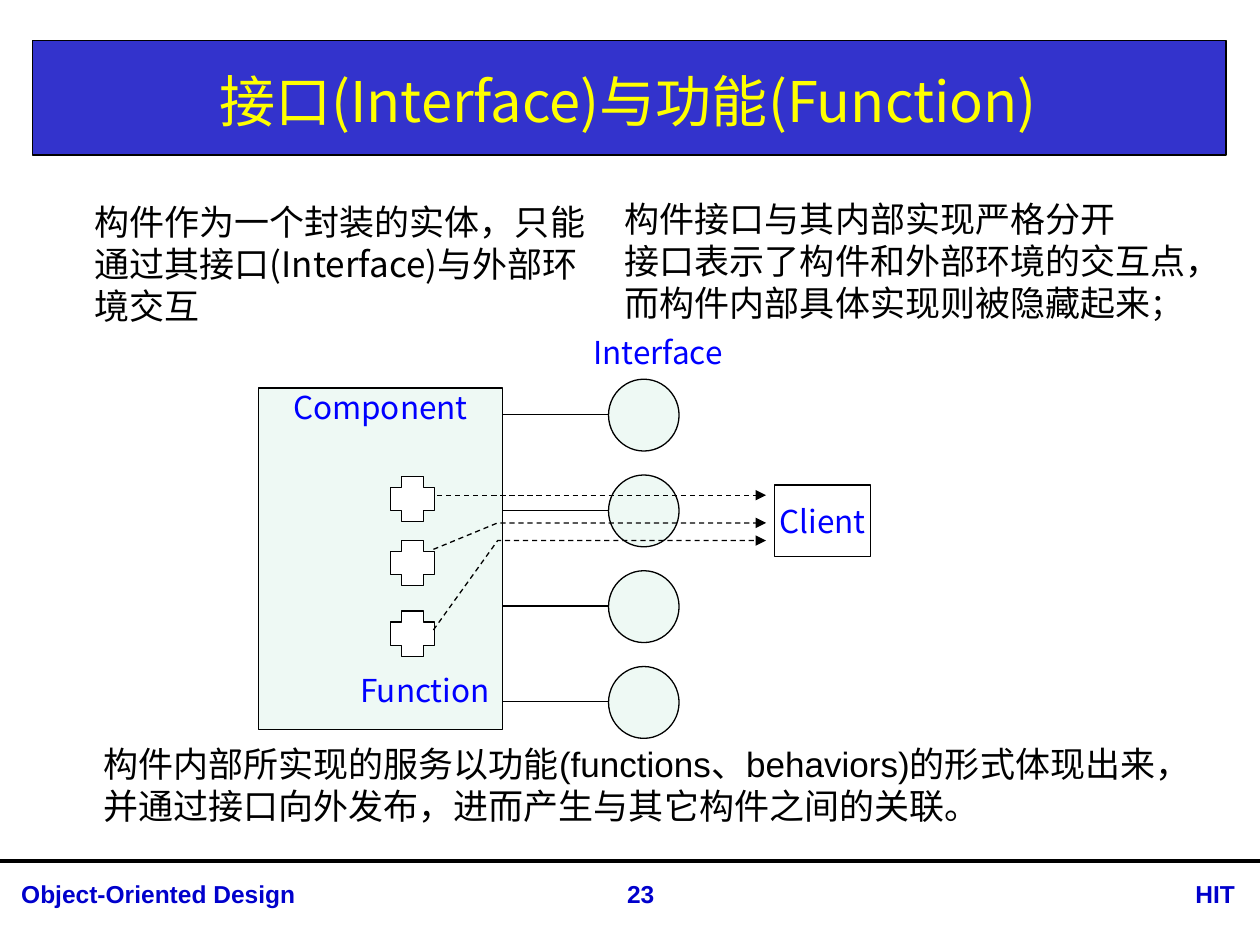
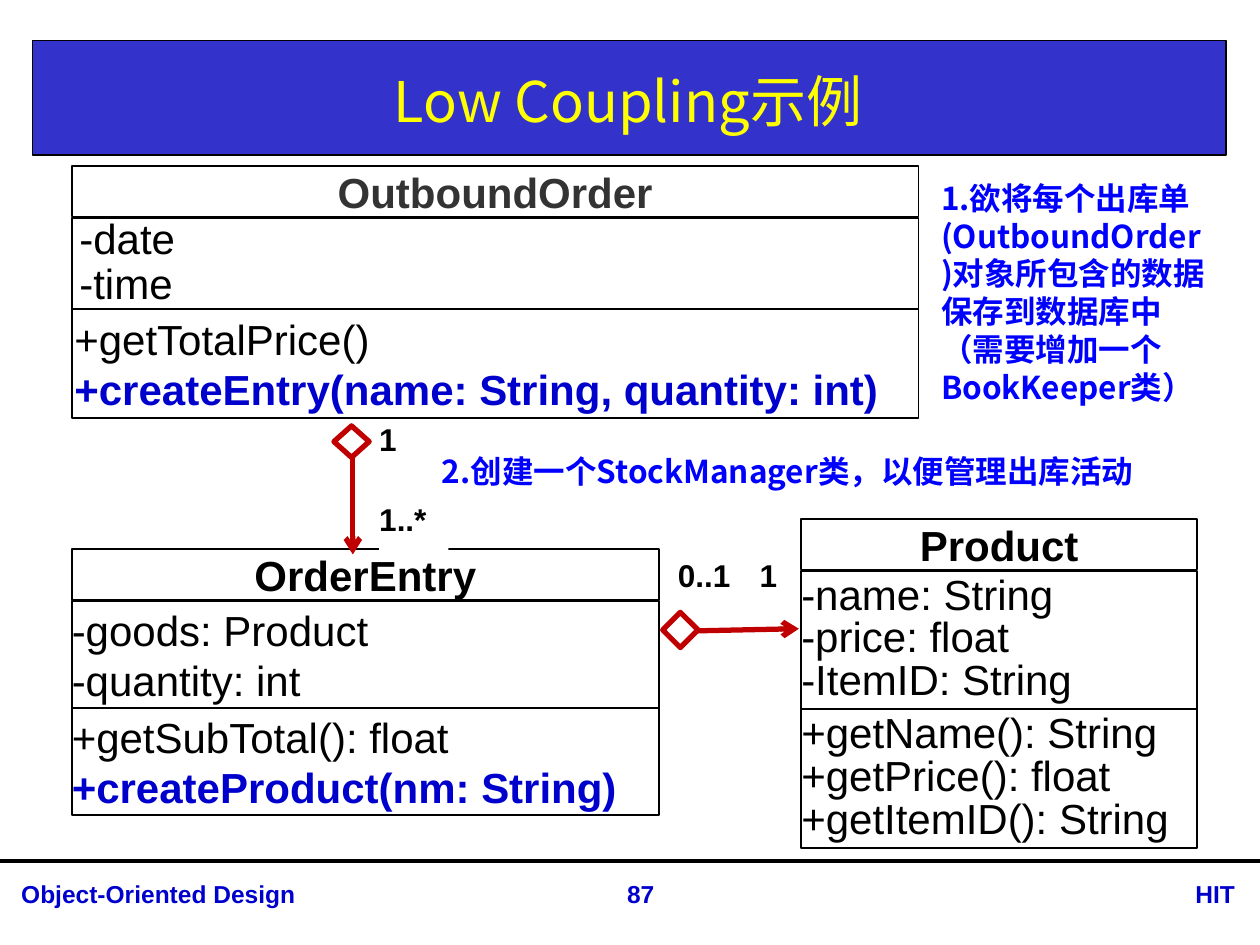
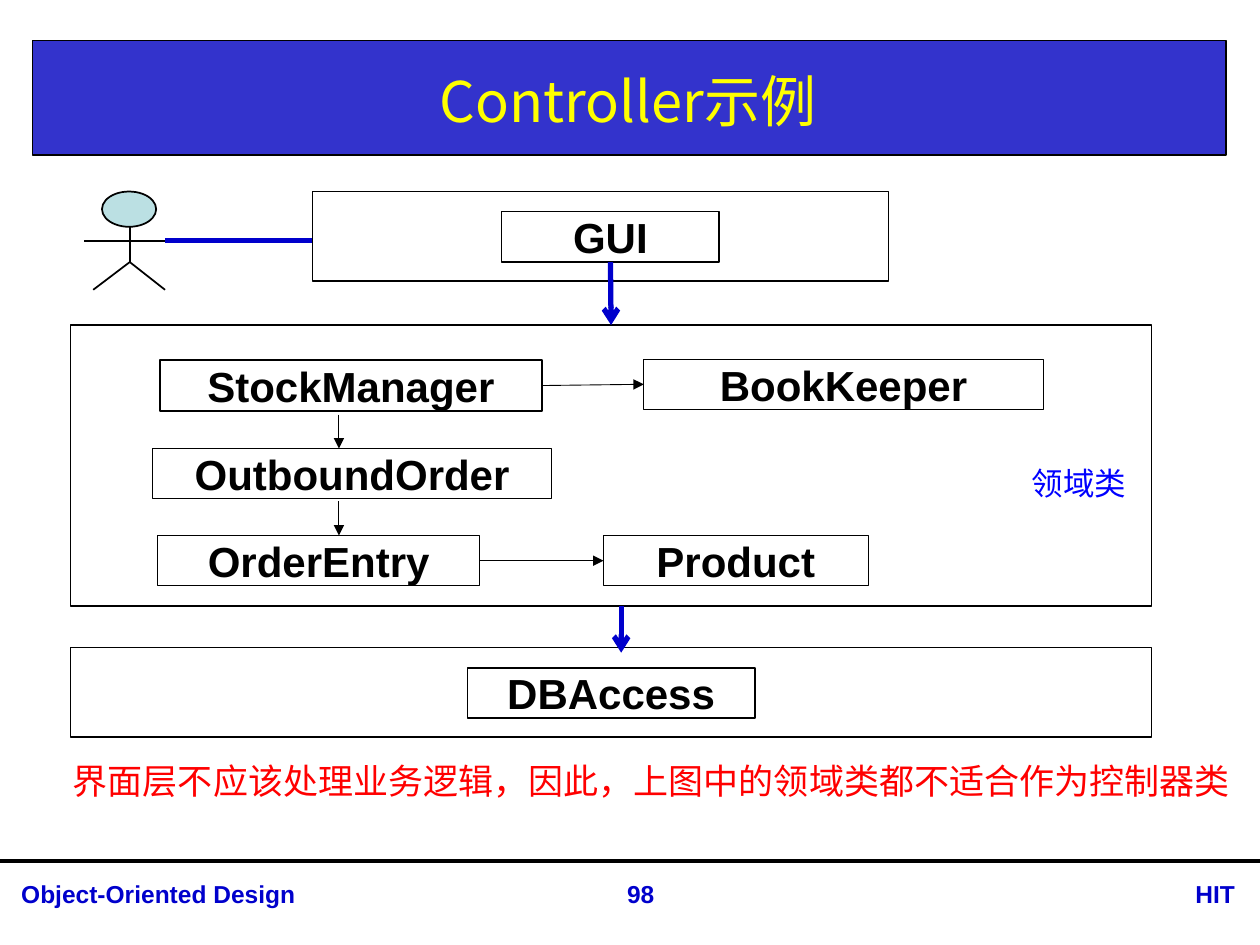
from dataclasses import dataclass, replace

from lxml import etree
from pptx import Presentation
from pptx.dml.color import RGBColor
from pptx.enum import dml, shapes, text
from pptx.oxml import ns
from pptx.util import Inches, Pt

SHAPE = shapes.MSO_SHAPE
LEFT, CENTER, RIGHT = text.PP_ALIGN.LEFT, text.PP_ALIGN.CENTER, text.PP_ALIGN.RIGHT
TOP, MIDDLE = text.MSO_ANCHOR.TOP, text.MSO_ANCHOR.MIDDLE
DEFAULT_INSETS = (0.1, 0.05)
NO_INSETS = (0, 0)


@dataclass(frozen=True)
class Style:
    size: int
    color: str = "000000"
    bold: bool = False
    font: str = "Arial"


@dataclass(frozen=True)
class Theme:
    cjk: str = "Noto Sans CJK SC"
    black: str = "000000"
    white: str = "FFFFFF"
    band: str = "3333CC"
    mint: str = "EEF9F4"
    head: str = "BBE0E3"
    navy: str = "0000CC"
    crimson: str = "C00000"
    title: Style = Style(32, "FFFF00", font=cjk)
    footer: Style = Style(14, navy, True)
    body: Style = Style(20, font=cjk)
    body_latin: Style = Style(20)
    label: Style = Style(18, "0000FF", font=cjk)
    note: Style = Style(18, "0000FF", True, cjk)
    warning: Style = Style(20, "FF0000", font=cjk)
    member: Style = Style(24)
    new_member: Style = Style(24, navy, True)
    class_name: Style = Style(24, bold=True)
    multiplicity: Style = Style(18, bold=True)


T = Theme()


def rgb(value):
    return RGBColor.from_string(value)


def write(shape, paragraphs, style, align=LEFT, anchor=TOP, insets=DEFAULT_INSETS,
          wrap=True, spacing=None):
    """Fill a shape; a paragraph is a string or a list of (string, style) runs."""
    tf = shape.text_frame
    tf.auto_size = text.MSO_AUTO_SIZE.NONE
    tf.word_wrap = wrap
    tf.vertical_anchor = anchor
    tf.margin_left = tf.margin_right = Inches(insets[0])
    tf.margin_top = tf.margin_bottom = Inches(insets[1])
    for i, runs in enumerate(paragraphs):
        p = tf.add_paragraph() if i else tf.paragraphs[0]
        p.alignment = align
        if spacing:
            p.line_spacing = spacing
        for content, look in [(runs, style)] if isinstance(runs, str) else runs:
            r = p.add_run()
            r.text = content
            r.font.size = Pt(look.size)
            r.font.bold = look.bold
            r.font.color.rgb = rgb(look.color)
            r.font.name = look.font
            east_asian = etree.SubElement(r._r.get_or_add_rPr(), ns.qn("a:ea"))
            east_asian.set("typeface", T.cjk)


def add_text(slide, x, y, w, h, paragraphs, style, **options):
    box = slide.shapes.add_textbox(Inches(x), Inches(y), Inches(w), Inches(h))
    write(box, paragraphs, style, **options)
    return box


def add_box(slide, x, y, w, h, fill=None, line=T.black, width=0.75, kind=SHAPE.RECTANGLE):
    sp = slide.shapes.add_shape(kind, Inches(x), Inches(y), Inches(w), Inches(h))
    sp.shadow.inherit = False
    if fill:
        sp.fill.solid()
        sp.fill.fore_color.rgb = rgb(fill)
    else:
        sp.fill.background()
    if line:
        sp.line.color.rgb = rgb(line)
        sp.line.width = Pt(width)
    else:
        sp.line.fill.background()
    return sp


def style_line(shape, color, width, head=None, dashed=False):
    shape.line.color.rgb = rgb(color)
    shape.line.width = Pt(width)
    if dashed:
        shape.line.dash_style = dml.MSO_LINE.DASH
    if head:
        tail = etree.SubElement(shape.line._get_or_add_ln(), ns.qn("a:tailEnd"))
        tail.set("type", head)


def add_line(slide, start, end, color=T.black, width=0.75, head=None, dashed=False):
    ends = [Inches(v) for v in (*start, *end)]
    line = slide.shapes.add_connector(shapes.MSO_CONNECTOR.STRAIGHT, *ends)
    style_line(line, color, width, head, dashed)
    etree.SubElement(line._element.spPr, ns.qn("a:effectLst"))
    return line


def join(slide, source, source_side, target, target_side, **look):
    line = add_line(slide, (0, 0), (1, 1), **look)
    line.begin_connect(source, source_side)
    line.end_connect(target, target_side)


def add_bent_arrow(slide, points):
    corners = [(Inches(x), Inches(y)) for x, y in points]
    builder = slide.shapes.build_freeform(*corners[0])
    builder.add_line_segments(corners[1:], close=False)
    sp = builder.convert_to_shape()
    sp.shadow.inherit = False
    sp.fill.background()
    style_line(sp, T.black, 0.75, "triangle", dashed=True)


def new_slide(prs, title, number):
    """Add a slide with the title band, the rule and the footer."""
    slide = prs.slides.add_slide(prs.slide_layouts[5])
    add_box(slide, 0.26, 0.32, 9.47, 0.91, T.band)
    add_line(slide, (0, 6.83), (10, 6.83), width=2.25)
    for x, w, content, align in ((0.07, 4.63, "Object-Oriented Design", LEFT),
                                 (8.87, 1.03, "HIT", RIGHT),
                                 (4.57, 1.03, str(number), CENTER)):
        add_text(slide, x, 6.93, w, 0.34, [content], T.footer, align=align)
    heading = slide.shapes.title
    heading.left, heading.top = Inches(0.26), Inches(0.36)
    heading.width, heading.height = Inches(9.45), Inches(0.87)
    write(heading, [title], T.title, align=CENTER, anchor=MIDDLE)
    # The title has to lie in front of its band.
    heading._element.getparent().append(heading._element)
    return slide


def component_diagram(slide, x, y):
    """Draw the component with its top left corner at x, y, and its client."""
    component = add_box(slide, x, y, 1.94, 2.71, T.mint)
    write(component, ["Component"], T.label, align=CENTER, insets=NO_INSETS, wrap=False)
    for i in range(4):
        top = y - 0.07 + 0.76 * i
        add_box(slide, x + 2.78, top, 0.56, 0.57, T.mint, kind=SHAPE.OVAL)
        add_line(slide, (x + 1.94, top + 0.28), (x + 2.78, top + 0.28))
    add_text(slide, x + 2.56, y - 0.49, 1.32, 0.4, ["Interface"], T.label, wrap=False)
    add_text(slide, x + 0.71, y + 2.2, 1.25, 0.4, ["Function"], T.label, wrap=False)
    client = add_box(slide, x + 4.1, y + 0.77, 0.76, 0.57, T.white)
    write(client, ["Client"], T.label, align=CENTER, anchor=MIDDLE, wrap=False)
    for dy in (0.7, 1.21, 1.77):
        add_box(slide, x + 1.05, y + dy, 0.35, 0.36, T.white, kind=SHAPE.CROSS)
    add_line(slide, (x + 1.42, y + 0.85), (x + 4.03, y + 0.85), head="triangle", dashed=True)
    for start, level in ((1.28, 1.07), (1.92, 1.21)):
        add_bent_arrow(slide, [(x + 1.39, y + start), (x + 1.9, y + level),
                               (x + 4.03, y + level)])


def interface_slide(prs):
    slide = new_slide(prs, "接口(Interface)与功能(Function)", 23)
    component_diagram(slide, 2.05, 3.08)
    add_text(slide, 0.65, 1.54, 4.11, 1.11,
             ["构件作为一个封装的实体，只能通过其接口(Interface)与外部环境交互"], T.body)
    add_text(slide, 0.72, 5.84, 8.81, 0.77,
             ["构件内部所实现的服务以功能(functions、behaviors)的形式体现出来，"
              "并通过接口向外发布，进而产生与其它构件之间的关联。"], T.body_latin)
    add_text(slide, 4.86, 1.52, 5, 1.11,
             ["构件接口与其内部实现严格分开",
              [("接口表示了构件和外部环境的交互点，而构件内部具体实现则被隐藏起来", T.body),
               ("；", replace(T.body, size=18))]], T.body)


def name_box(slide, x, y, w, name, style=T.class_name, width=1):
    sp = add_box(slide, x, y, w, 0.4, T.white, width=width)
    write(sp, [name], style, align=CENTER, anchor=MIDDLE, insets=NO_INSETS)
    return sp


def class_box(slide, x, y, w, name, compartments, name_style=T.class_name):
    """Stack compartments (height, insets, line spacing, members) under a class name."""
    name_box(slide, x, y, w, name, name_style)
    y += 0.41
    for height, insets, spacing, members in compartments:
        sp = add_box(slide, x, y, w, height, T.white, width=1)
        write(sp, members, T.member, anchor=MIDDLE, insets=insets, spacing=spacing)
        y += height


def aggregation(slide, start, end, x, y, w, h):
    add_line(slide, start, end, T.crimson, 3, "arrow")
    add_box(slide, x, y, w, h, T.white, T.crimson, 3, SHAPE.DIAMOND)


def coupling_slide(prs):
    slide = new_slide(prs, "Low Coupling示例", 87)
    class_box(slide, 0.57, 4.36, 4.66, "OrderEntry", [
        (0.85, (0, 0.02), None, ["-goods: Product", "-quantity: int"]),
        (0.85, (0, 0.02), None, ["+getSubTotal(): float",
                                 [("+createProduct(nm: String)", T.new_member)]])])
    class_box(slide, 0.57, 1.32, 6.72, "OutboundOrder", [
        (0.72, (0.06, 0), 0.9, ["-date", "-time"]),
        (0.87, (0.02, 0.03), None,
         ["+getTotalPrice()",
          [("+createEntry(name: String, quantity: int)", T.new_member)]])],
        replace(T.class_name, color="333333"))
    class_box(slide, 6.36, 4.12, 3.14, "Product", [
        (1.1, (0, 0.03), 0.85, ["-name: String", "-price: float", "-ItemID: String"]),
        (1.1, (0, 0.03), 0.85, ["+getName(): String", "+getPrice(): float",
                                "+getItemID(): String"])])
    for x, y, w, h, count in ((3.01, 3.97, 0.55, 0.4, "1..*"), (3.01, 3.33, 0.31, 0.3, "1"),
                              (6.03, 4.41, 0.17, 0.23, "1"), (5.38, 4.41, 0.47, 0.4, "0..1")):
        sp = add_box(slide, x, y, w, h, T.white, line=None)
        write(sp, [count], T.multiplicity, insets=NO_INSETS)
    aggregation(slide, (2.8, 3.6), (2.8, 4.4), 2.65, 3.38, 0.28, 0.25)
    aggregation(slide, (5.38, 5.01), (6.34, 4.99), 5.26, 4.86, 0.28, 0.28)
    add_text(slide, 7.37, 1.37, 2.35, 1.92,
             ["1.欲将每个出库单(OutboundOrder)对象所包含的数据保存到数据库中"
              "（需要增加一个BookKeeper类）"], T.note)
    add_text(slide, 3.41, 3.54, 6.2, 0.4,
             ["2.创建一个StockManager类，以便管理出库活动"], T.note)


def actor(slide, x, y):
    add_box(slide, x + 0.14, y, 0.43, 0.28, T.head, width=1, kind=SHAPE.OVAL)
    neck, hip = (x + 0.36, y + 0.28), (x + 0.36, y + 0.56)
    for start, end in (((x, y + 0.39), (x + 0.79, y + 0.39)), (neck, hip),
                       (hip, (x + 0.07, y + 0.78)), (hip, (x + 0.64, y + 0.78))):
        add_line(slide, start, end, width=1)


def domain_layer(slide, x, y):
    """Draw the layer of domain classes and return its frame."""
    frame = add_box(slide, x, y, 8.58, 2.23)
    thin = dict(width=0.5, head="triangle")
    manager = name_box(slide, x + 0.71, y + 0.28, 3.03, "StockManager")
    keeper = name_box(slide, x + 4.55, y + 0.27, 3.17, "BookKeeper", width=0.5)
    name_box(slide, x + 0.65, y + 0.98, 3.17, "OutboundOrder", width=0.5)
    entry = name_box(slide, x + 0.69, y + 1.67, 2.56, "OrderEntry", width=0.5)
    product = name_box(slide, x + 4.23, y + 1.67, 2.1, "Product", width=0.5)
    join(slide, manager, 3, keeper, 1, **thin)
    join(slide, entry, 3, product, 1, **thin)
    for dy in (0.71, 1.4):
        add_line(slide, (x + 2.13, y + dy), (x + 2.13, y + dy + 0.27), **thin)
    add_text(slide, x + 7.53, y + 1.05, 0.96, 0.4, ["领域类"], T.label, wrap=False)
    return frame


def controller_slide(prs):
    slide = new_slide(prs, "Controller示例", 98)
    actor(slide, 0.67, 1.52)
    add_box(slide, 2.48, 1.52, 4.57, 0.71)
    gui = name_box(slide, 3.98, 1.68, 1.73, "GUI")
    domain = domain_layer(slide, 0.56, 2.58)
    add_box(slide, 0.56, 5.14, 8.58, 0.71)
    name_box(slide, 3.71, 5.3, 2.28, "DBAccess")
    call = dict(color=T.navy, width=3, head="arrow")
    join(slide, gui, 2, domain, 0, **call)
    add_line(slide, (4.93, 4.81), (4.93, 5.18), **call)
    add_line(slide, (1.31, 1.91), (2.48, 1.91), T.navy, 2.75)
    add_text(slide, 0.48, 5.98, 9.46, 0.44,
             ["界面层不应该处理业务逻辑，因此，上图中的领域类都不适合作为控制器类"],
             T.warning, wrap=False)


def main():
    prs = Presentation()
    prs.slide_width, prs.slide_height = Inches(10), Inches(7.5)
    interface_slide(prs)
    coupling_slide(prs)
    controller_slide(prs)
    prs.save("out.pptx")


if __name__ == "__main__":
    main()
